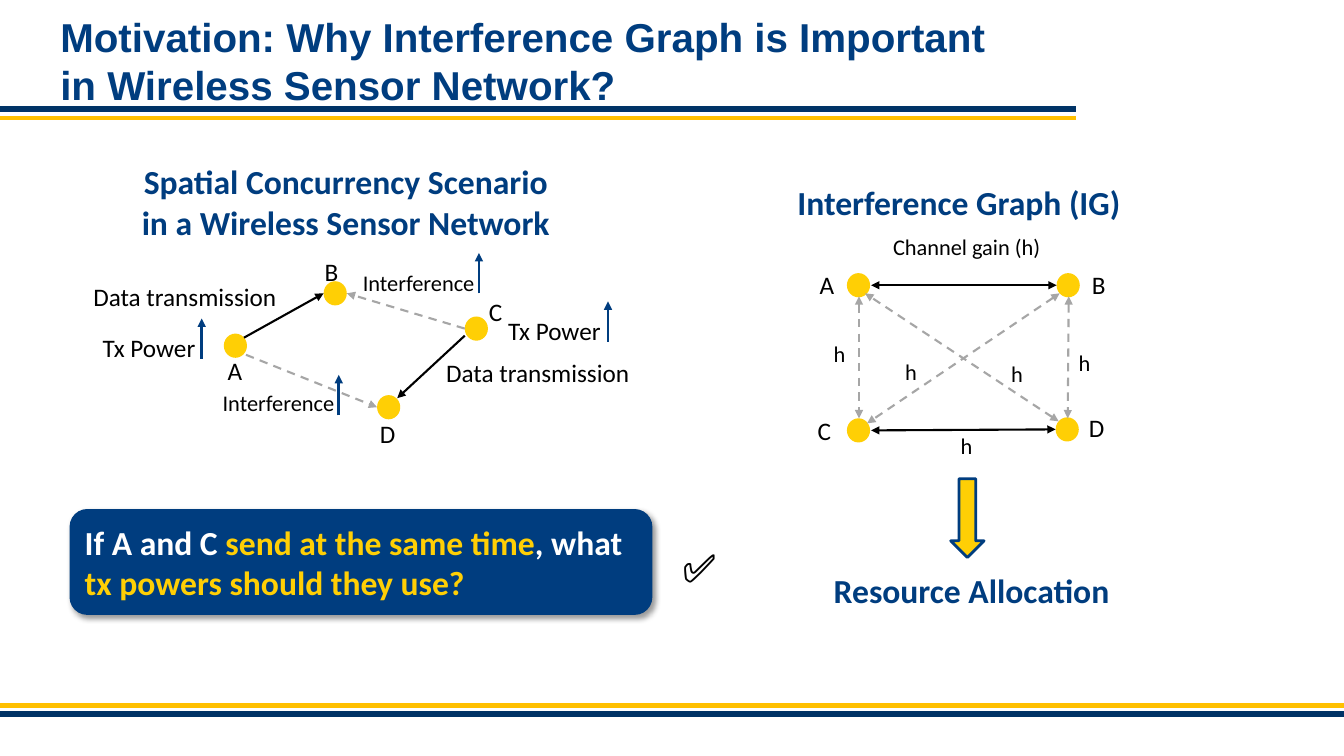
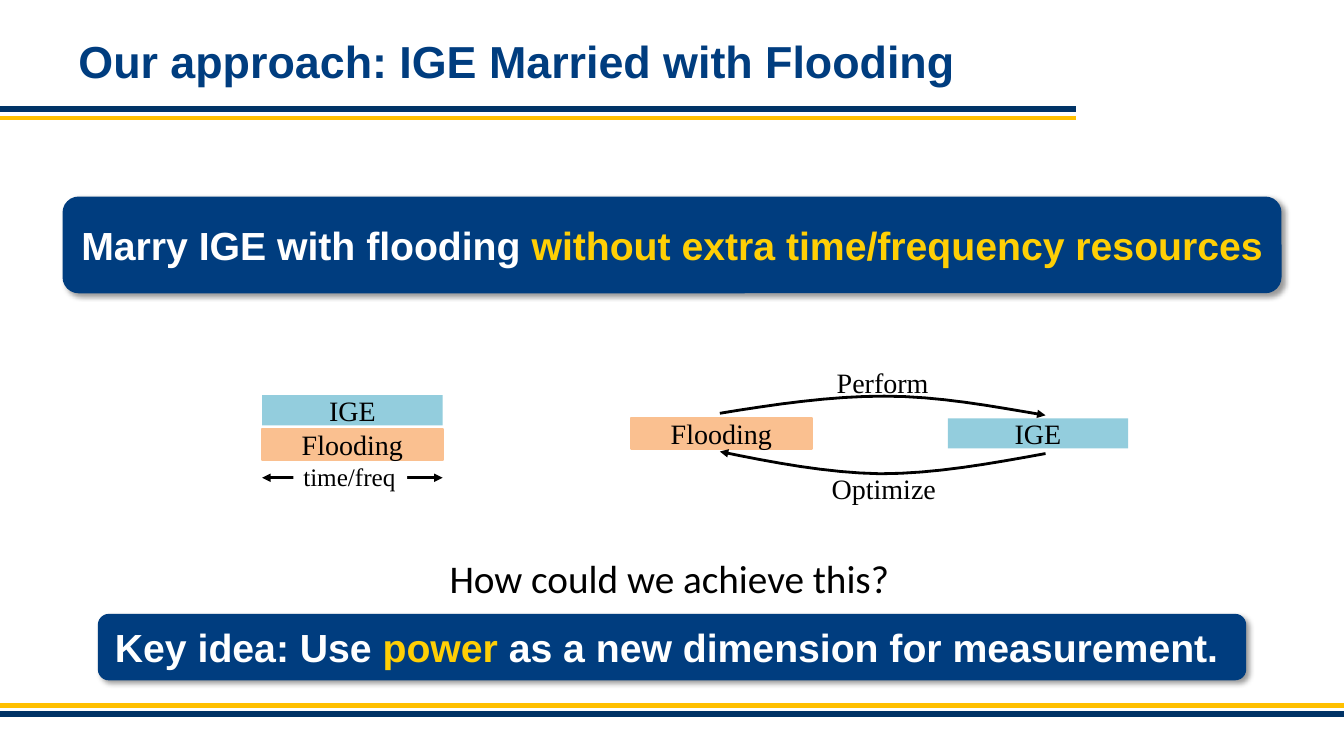
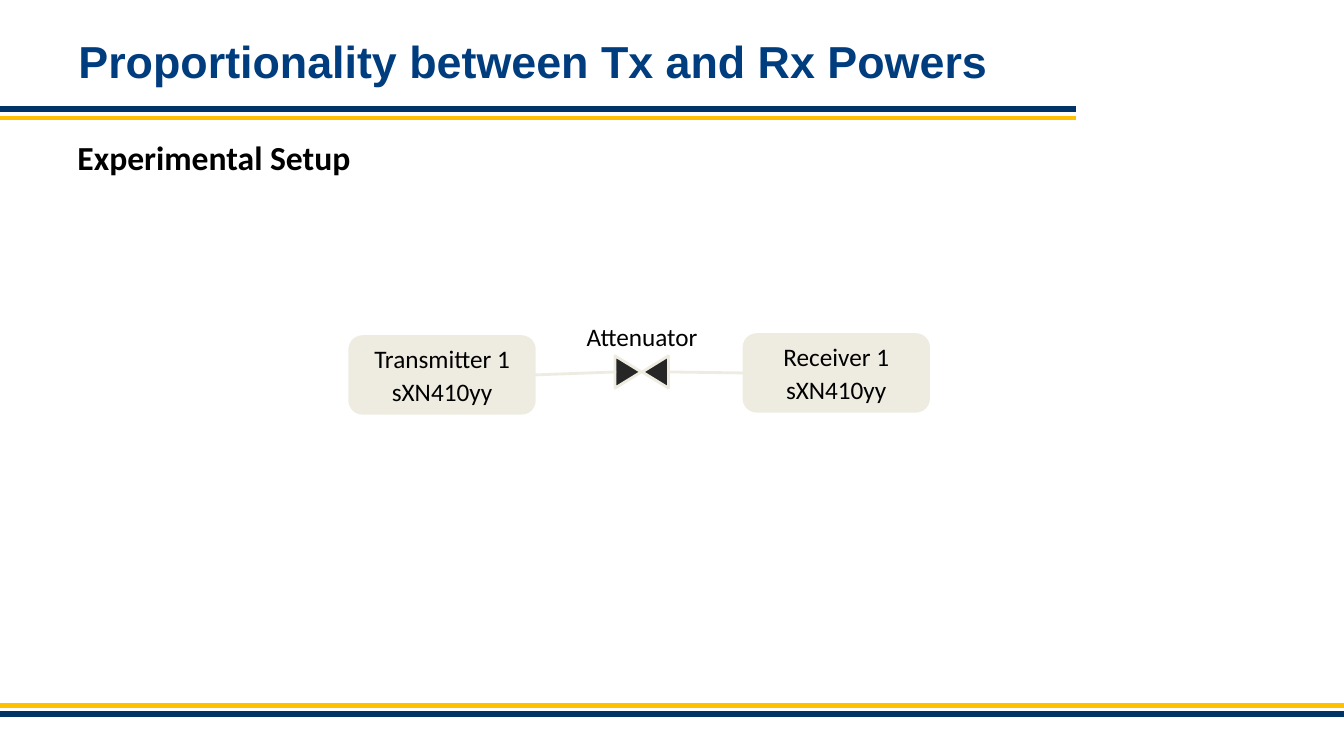
from lxml.etree import SubElement
from pptx import Presentation
from pptx.dml.color import RGBColor
from pptx.enum.dml import MSO_LINE
from pptx.enum.shapes import MSO_CONNECTOR, MSO_SHAPE
from pptx.enum.text import MSO_ANCHOR, MSO_AUTO_SIZE, PP_ALIGN
from pptx.oxml.ns import qn
from pptx.util import Inches, Pt

BLUE, YELLOW = "003D7F", "FFCF05"
BAND_BLUE, BAND_YELLOW = "003366", "FFC000"
BLACK, WHITE, GRAY = "000000", "FFFFFF", "A6A6A6"
ORANGE, AQUA, BEIGE, CHARCOAL = "FAC090", "93CDDD", "EEECE1", "262626"
SANS, TITLE_FONT, SERIF = "Calibri", "Arial", "Times New Roman"
CENTER, RIGHT = PP_ALIGN.CENTER, PP_ALIGN.RIGHT
DOT_WIDTH, DOT_HEIGHT = 0.23, 0.24


def color(hex_code):
    return RGBColor.from_string(hex_code)


def box(*lengths):
    return [Inches(length) for length in lengths]


class Deck:
    """Holds the shared style and the slide being drawn."""

    def __init__(self):
        self.presentation = Presentation()
        self.presentation.slide_width = Inches(13.33)
        self.presentation.slide_height = Inches(7.5)
        self.slide = None

    def new_slide(self, title, left=0.68, size=32):
        self.slide = self.presentation.slides.add_slide(self.presentation.slide_layouts[6])
        # Bands under the title and at the foot
        for y, right, line_color, width in (
            (1.17, 10.67, BAND_YELLOW, 3), (7, 13.33, BAND_YELLOW, 3),
            (7.08, 13.33, BAND_BLUE, 4.5), (1.08, 10.67, BAND_BLUE, 4.5),
        ):
            self.line((0, y), (right, y), line_color, width)
        text_box = self.slide.shapes.add_textbox(*box(left, 0.25, 10.5, 0.7))
        text_box.text_frame.word_wrap = True
        text_box.text_frame.vertical_anchor = MSO_ANCHOR.MIDDLE
        text_box.text_frame.text = title
        self.format_text(text_box.text_frame, size, BLUE, TITLE_FONT, True)

    def format_text(self, text_frame, size, text_color=BLACK, font=SANS, bold=False, align=None):
        for paragraph in text_frame.paragraphs:
            paragraph.alignment = align
            for run in paragraph.runs:
                run.font.size = Pt(size)
                run.font.name = font
                run.font.bold = bold
                run.font.color.rgb = color(text_color)

    def label(self, text, left, top, width, size=18, fill=None, **style):
        lines = text.count("\n") + 1
        height = round(lines * size * 1.22 / 72 + 0.1, 2)
        text_box = self.slide.shapes.add_textbox(*box(left, top, width, height))
        if fill:
            text_box.fill.solid()
            text_box.fill.fore_color.rgb = color(fill)
        text_box.text_frame.word_wrap = False
        text_box.text_frame.auto_size = MSO_AUTO_SIZE.SHAPE_TO_FIT_TEXT
        text_box.text_frame.text = text
        self.format_text(text_box.text_frame, size, **style)

    def shape(self, kind, left, top, width, height, fill, outline=None, line_width=2):
        shape = self.slide.shapes.add_shape(kind, *box(left, top, width, height))
        shape.shadow.inherit = False
        shape.fill.solid()
        shape.fill.fore_color.rgb = color(fill)
        if outline:
            shape.line.color.rgb = color(outline)
            shape.line.width = Pt(line_width)
        else:
            shape.line.fill.background()
        return shape

    def dot(self, left, top):
        self.shape(MSO_SHAPE.OVAL, left, top, DOT_WIDTH, DOT_HEIGHT, YELLOW)

    def block(self, text, left, top, fill, outline=None):
        shape = self.shape(MSO_SHAPE.RECTANGLE, left, top, 1.79, 0.3, fill, outline, 1.5)
        text_frame = shape.text_frame
        text_frame.margin_top = text_frame.margin_bottom = 0
        text_frame.text = text
        self.format_text(text_frame, 20, font=SERIF, align=CENTER)

    def device(self, text, left, top):
        shape = self.shape(MSO_SHAPE.ROUNDED_RECTANGLE, left, top, 1.83, 0.76, BEIGE, BEIGE)
        shape.text_frame.text = text
        shape.text_frame.paragraphs[1].space_before = Pt(2.5)
        self.format_text(shape.text_frame, 18, align=CENTER)
        return shape

    def banner(self, parts, left, top, width, height, size=28, font=TITLE_FONT, align=CENTER):
        shape = self.shape(MSO_SHAPE.ROUNDED_RECTANGLE, left, top, width, height, BLUE)
        effects = shape._element.spPr.find(qn("a:effectLst"))
        shadow = SubElement(effects, qn("a:outerShdw"), blurRad=str(Pt(4)), dist=str(Pt(3)),
                            dir="2700000", algn="tl", rotWithShape="0")
        shadow_color = SubElement(shadow, qn("a:srgbClr"), val=BLACK)
        SubElement(shadow_color, qn("a:alpha"), val="40000")
        shape.text_frame.word_wrap = True
        paragraph = shape.text_frame.paragraphs[0]
        for text, _ in parts:
            paragraph.add_run().text = text
        self.format_text(shape.text_frame, size, WHITE, font, True, align)
        for run, (_, text_color) in zip(paragraph.runs, parts):
            run.font.color.rgb = color(text_color)

    def stroke(self, shape, line_color, width, arrows="", dashed=False):
        shape.line.color.rgb = color(line_color)
        shape.line.width = Pt(width)
        if dashed:
            shape.line.dash_style = MSO_LINE.DASH
        line = shape._element.spPr.find(qn("a:ln"))
        for end in arrows.split():
            SubElement(line, qn(f"a:{end}End"), type="triangle")

    def line(self, start, end, line_color=BLACK, width=1.5, arrows="", dashed=False):
        connector = self.slide.shapes.add_connector(MSO_CONNECTOR.STRAIGHT, *box(*start, *end))
        self.stroke(connector, line_color, width, arrows, dashed)
        SubElement(connector._element.spPr, qn("a:effectLst"))
        return connector

    def rise_arrow(self, x, bottom):
        self.line((x, bottom), (x, bottom - 0.4), BLUE, 2, "tail")

    def curve(self, *segments, steps=8):
        """Draws cubic segments, each given as four points, ending in an arrow."""
        points = []
        for controls in segments:
            for step in range(steps + 1):
                t = step / steps
                weights = ((1 - t) ** 3, 3 * t * (1 - t) ** 2, 3 * t * t * (1 - t), t ** 3)
                points.append(box(*(sum(w * point[axis] for w, point in zip(weights, controls))
                                    for axis in (0, 1))))
        builder = self.slide.shapes.build_freeform(*points[0])
        builder.add_line_segments(points[1:], close=False)
        shape = builder.convert_to_shape()
        shape.shadow.inherit = False
        shape.fill.background()
        self.stroke(shape, BLACK, 2, "tail")


def motivation_slide(deck):
    deck.new_slide("Motivation: Why Interference Graph is Important\v"
                   "in Wireless Sensor Network?", 0.5, 28.8)

    # Nodes of both diagrams: dot position, then letter position
    for letter, dot, letter_place in (
        ("A", (2.22, 3.31), (2.16, 3.48)), ("B", (3.21, 2.79), (3.12, 2.49)),
        ("C", (4.61, 3.14), (4.75, 2.89)), ("D", (3.74, 3.92), (3.67, 4.1)),
        ("A", (8.4, 2.71), (8.03, 2.62)), ("B", (10.48, 2.71), (10.73, 2.62)),
        ("C", (8.4, 4.15), (8.01, 4.07)), ("D", (10.47, 4.14), (10.7, 4.04)),
    ):
        deck.dot(*dot)
        deck.label(letter, *letter_place, 0.38)

    # Concurrency scenario
    deck.label("Spatial Concurrency Scenario\nin a Wireless Sensor Network", 1.22, 1.55, 4.42,
               24, text_color=BLUE, bold=True, align=CENTER)
    for start, end in (((4.61, 3.33), (3.94, 3.95)), ((2.42, 3.35), (3.21, 2.91))):
        deck.line(start, end, arrows="tail")
    for start, end in (((4.61, 3.26), (3.44, 2.91)), ((2.44, 3.52), (3.74, 4.04))):
        deck.line(start, end, GRAY, arrows="tail", dashed=True)
    for left, top in ((3.5, 2.62), (2.11, 3.81)):
        deck.label("Interference", left, top, 1.32, 16)
    for left, top in ((4.3, 3.5), (0.8, 2.74)):
        deck.label("Data transmission", left, top, 2.04, align=RIGHT)
    for left, top in ((0.92, 3.25), (4.94, 3.08)):
        deck.label("Tx Power", left, top, 1.12)
    for x, bottom in ((2, 3.56), (3.36, 4.12), (6.03, 3.39), (4.75, 2.91)):
        deck.rise_arrow(x, bottom)

    # Interference graph
    deck.label("Interference Graph (IG)", 7.77, 1.76, 3.48, 24,
               text_color=BLUE, bold=True, align=CENTER)
    for start, end in (((8.64, 2.83), (10.48, 2.83)), ((10.47, 4.26), (8.64, 4.27))):
        deck.line(start, end, arrows="head tail")
    for start, end in (
        ((8.52, 2.94), (8.52, 4.15)), ((10.6, 2.94), (10.59, 4.15)),
        ((10.5, 4.18), (8.58, 2.91)), ((10.51, 2.91), (8.6, 4.2)),
    ):
        deck.line(start, end, GRAY, arrows="head tail", dashed=True)
    deck.label("Channel gain (h)", 8.76, 2.26, 1.66, 16)
    for left, top in ((8.17, 3.33), (10.6, 3.41), (9.43, 4.24), (9.93, 3.52), (8.88, 3.5)):
        deck.label("h", left, top, 0.33, 16)

    # Question and outcome
    deck.banner([("If A and C ", WHITE), ("send at the same time", YELLOW), (", what ", WHITE),
                 ("tx powers should they use?", YELLOW)],
                0.69, 5.05, 5.78, 1.05, 24, SANS, PP_ALIGN.LEFT)
    deck.label("✅", 6.67, 5.34, 0.59, 28)
    deck.shape(MSO_SHAPE.DOWN_ARROW, 9.43, 4.75, 0.33, 0.78, YELLOW, BLUE)
    deck.label("Resource Allocation", 8.17, 5.6, 3.05, 24, text_color=BLUE, bold=True)


def approach_slide(deck):
    deck.new_slide("Our approach: IGE Married with Flooding")
    deck.banner([("Marry IGE with flooding ", WHITE),
                 ("without extra time/frequency resources", YELLOW)], 0.62, 1.95, 12.09, 0.96)

    # Shared time and frequency
    deck.line((2.6, 4.74), (4.39, 4.74), width=2, arrows="head tail")
    deck.label("time/freq", 2.91, 4.53, 1.13, fill=WHITE, font=SERIF)
    deck.block("Flooding", 2.6, 4.26, ORANGE, ORANGE)
    deck.block("IGE", 2.6, 3.92, AQUA)

    # Loop between flooding and IGE
    deck.block("Flooding", 6.26, 4.15, ORANGE, ORANGE)
    deck.block("IGE", 9.4, 4.15, AQUA)
    deck.label("Perform", 8.2, 3.58, 1.12, 20, font=SERIF)
    deck.curve(((7.14, 4.1), (7.69, 4.01), (8.24, 3.93), (8.77, 3.93)),
               ((8.77, 3.93), (9.31, 3.93), (9.84, 4.03), (10.37, 4.12)))
    deck.curve(((10.37, 4.5), (9.82, 4.6), (9.27, 4.7), (8.73, 4.7)),
               ((8.73, 4.7), (8.2, 4.69), (7.67, 4.59), (7.14, 4.48)))
    deck.label("Optimize", 8.15, 4.63, 1.24, 20, font=SERIF)

    # Key idea
    deck.label("How could we achieve this?", 4.36, 5.45, 4.61, 28)
    deck.banner([("Key idea: Use ", WHITE), ("power", YELLOW),
                 (" as a new dimension for measurement. ", WHITE)], 0.97, 6.09, 11.39, 0.66)


def proportionality_slide(deck):
    deck.new_slide("Proportionality between Tx and Rx Powers")
    deck.label("Experimental Setup", 0.67, 1.31, 2.94, 24, bold=True)

    # Transmitter, attenuator and receiver
    transmitter = deck.device("Transmitter 1\nsXN410yy", 3.47, 3.34)
    for left, rotation in ((6.07, 90), (6.34, 270)):
        triangle = deck.shape(MSO_SHAPE.ISOSCELES_TRIANGLE, left, 3.56, 0.32, 0.26,
                              CHARCOAL, BEIGE)
        triangle.rotation = rotation
    receiver = deck.device("Receiver 1\nsXN410yy", 7.38, 3.32)
    deck.line((5.3, 3.72), (6.11, 3.69), BEIGE, 2).begin_connect(transmitter, 3)
    deck.line((6.62, 3.69), (7.38, 3.7), BEIGE, 2).end_connect(receiver, 1)
    deck.label("Attenuator", 5.72, 3.14, 1.37)


def main():
    deck = Deck()
    motivation_slide(deck)
    approach_slide(deck)
    proportionality_slide(deck)
    deck.presentation.save("out.pptx")


if __name__ == "__main__":
    main()
